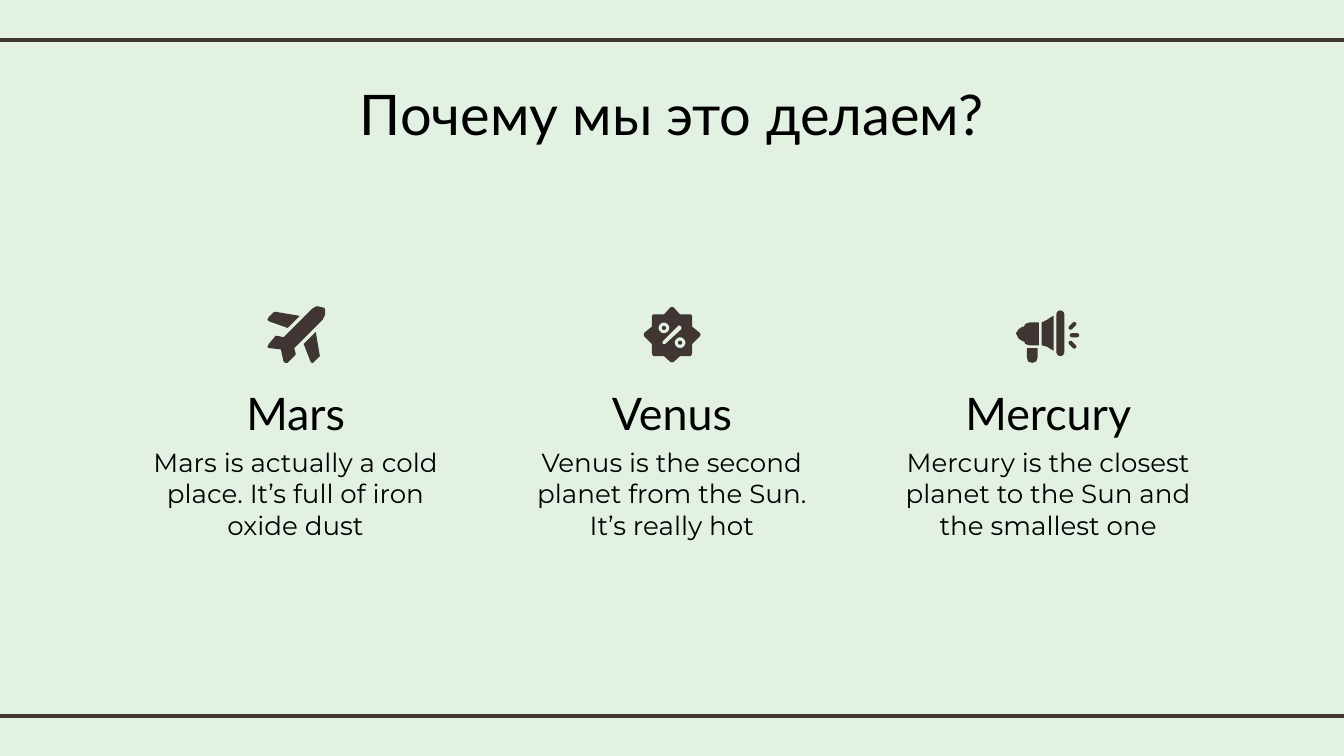
from math import cos, sin, pi
from pptx import Presentation
from pptx.dml.color import RGBColor as RGB
from pptx.enum.shapes import MSO_CONNECTOR as Link, MSO_SHAPE as Kind
from pptx.enum.text import PP_ALIGN as Align
from pptx.util import Inches, Pt
from lxml.etree import SubElement
from pptx.oxml.ns import qn

theme = {
    "back": RGB.from_string("E3F1E2"),
    "dark": RGB.from_string("3F3533"),
    "ink": RGB.from_string("000000"),
    "title": ("Lato", 30),
    "head": ("Lato", 24),
    "body": ("Montserrat", 14),
    "rule": 2.25,
}

# Grid: 1000 columns by 562.5 rows
CELL = Inches(10) // 1000
COLS, ROWS = 1000, 562.5
MID, STEP, WIDE, TOP = 500, 280, 233, 228

deck = Presentation()
deck.slide_width, deck.slide_height = COLS * CELL, int(ROWS * CELL)
slide = deck.slides.add_slide(deck.slide_layouts[6])
slide.background.fill.solid()
slide.background.fill.fore_color.rgb = theme["back"]
shapes = slide.shapes


def write(text, style, left, top, width, height):
    box = shapes.add_textbox(*[int(n * CELL) for n in (left, top, width, height)])
    frame = box.text_frame
    frame.word_wrap = True
    frame.margin_left = frame.margin_right = Inches(0.1)
    frame.margin_top = frame.margin_bottom = Inches(0.1)
    frame.text = text
    par = frame.paragraphs[0]
    par.alignment = Align.CENTER
    font = par.runs[0].font
    font.name, size = theme[style]
    font.size = Pt(size)
    font.color.rgb = theme["ink"]


def paint(shape):
    shape.shadow.inherit = False
    shape.fill.solid()
    shape.fill.fore_color.rgb = theme["dark"]
    shape.line.fill.background()


# Rules at top and bottom
for row in (30, 533):
    rule = shapes.add_connector(Link.STRAIGHT, -8 * CELL, row * CELL,
                                (COLS + 8) * CELL, row * CELL)
    rule.line.color.rgb = theme["dark"]
    rule.line.width = Pt(theme["rule"])
    SubElement(rule._element.spPr, qn("a:effectLst"))

write("Почему мы это делаем?", "title", 136, 49, 728, 63)

# Three planets
planets = [
    ("Mars", "Mars is actually a cold place. It’s full of iron oxide dust"),
    ("Venus", "Venus is the second planet from the Sun. It’s really hot"),
    ("Mercury", "Mercury is the closest planet to the Sun and the smallest one"),
]
for col, (name, fact) in enumerate(planets):
    left = MID + (col - 1) * STEP - WIDE / 2
    write(name, "head", left, 277, WIDE, 49)
    write(fact, "body", left, 322, WIDE, 89)

# Icon outlines, in cells from the middle of the column and the icon's top
body = [(17, 0), (15, 0), (12, 2), (-9, 23), (-13, 22), (-15, 22), (-20, 28),
        (-21, 30), (-20, 31), (-11, 32), (-9, 41), (-8, 42), (-6, 42), (0, 36),
        (0, 35), (-1, 31), (20, 10), (22, 6), (22, 2), (21, 1)]
wing = [(-16, 4), (-20, 8), (-21, 10), (-20, 11), (-6, 16), (3, 7), (-15, 4)]
tail = [(15, 19), (6, 28), (11, 41), (12, 42), (13, 42), (17, 38), (18, 37)]

half = [(-1, 0.5), (-6, 6), (-14, 6), (-15, 7), (-15, 15), (-21, 20),
        (-21, 22), (-15, 28), (-15, 35), (-14, 37), (-6, 37), (-1, 41.5)]
badge = half + [(-x, y) for x, y in reversed(half)]
slash = [(5, 14), (7, 15), (7, 17), (-5, 28), (-7, 28), (-7, 26), (4, 15)]
rings = [[(x + size * cos(n * pi / 12), y + size * sin(n * pi / 12))
          for n in range(24)]
         for x, y in ((-6, 16), (6, 27)) for size in (4, 1.5)]

mouth = [(-14, 12), (-17, 13), (-18, 15), (-19, 15), (-22, 17), (-24, 20),
         (-22, 24), (-19, 26), (-18, 26), (-17, 28), (-14, 29), (-7, 29), (-7, 12)]
horn = [(4, 7), (2, 8), (-1, 10), (-5, 12), (-5, 29), (-1, 30), (2, 32), (4, 33)]
grip = [(-16, 31), (-16, 38), (-15, 41), (-12, 42), (-9, 41), (-8, 38), (-8, 31)]

# Each icon part is a list of outlines; inner ones cut holes
icons = [
    [[body], [wing], [tail]],
    [[badge, slash, *rings]],
    [[mouth], [horn], [grip]],
]
FINE = 10
for col, parts in enumerate(icons):
    mid = MID + (col - 1) * STEP
    for part in parts:
        loops = [[((mid + x) * FINE, (TOP + y) * FINE) for x, y in loop]
                 for loop in part]
        pen = shapes.build_freeform(*loops[0][0], scale=CELL / FINE)
        pen.add_line_segments(loops[0][1:])
        for loop in loops[1:]:
            pen.move_to(*loop[0])
            pen.add_line_segments(loop[1:])
        paint(pen.convert_to_shape())

# Megaphone rim and sound rays: middle x and y, width, height, turn
mid = MID + STEP
for x, y, width, height, turn in [(9, 20, 6, 34, 0), (19.5, 21.5, 7, 3, 0),
                                  (18, 14.5, 7, 3, -45), (18, 28.5, 7, 3, 45)]:
    bar = shapes.add_shape(Kind.ROUNDED_RECTANGLE,
                           int((mid + x - width / 2) * CELL),
                           int((TOP + y - height / 2) * CELL),
                           width * CELL, height * CELL)
    bar.adjustments[0] = 0.5
    bar.rotation = turn
    paint(bar)

deck.save("out.pptx")
